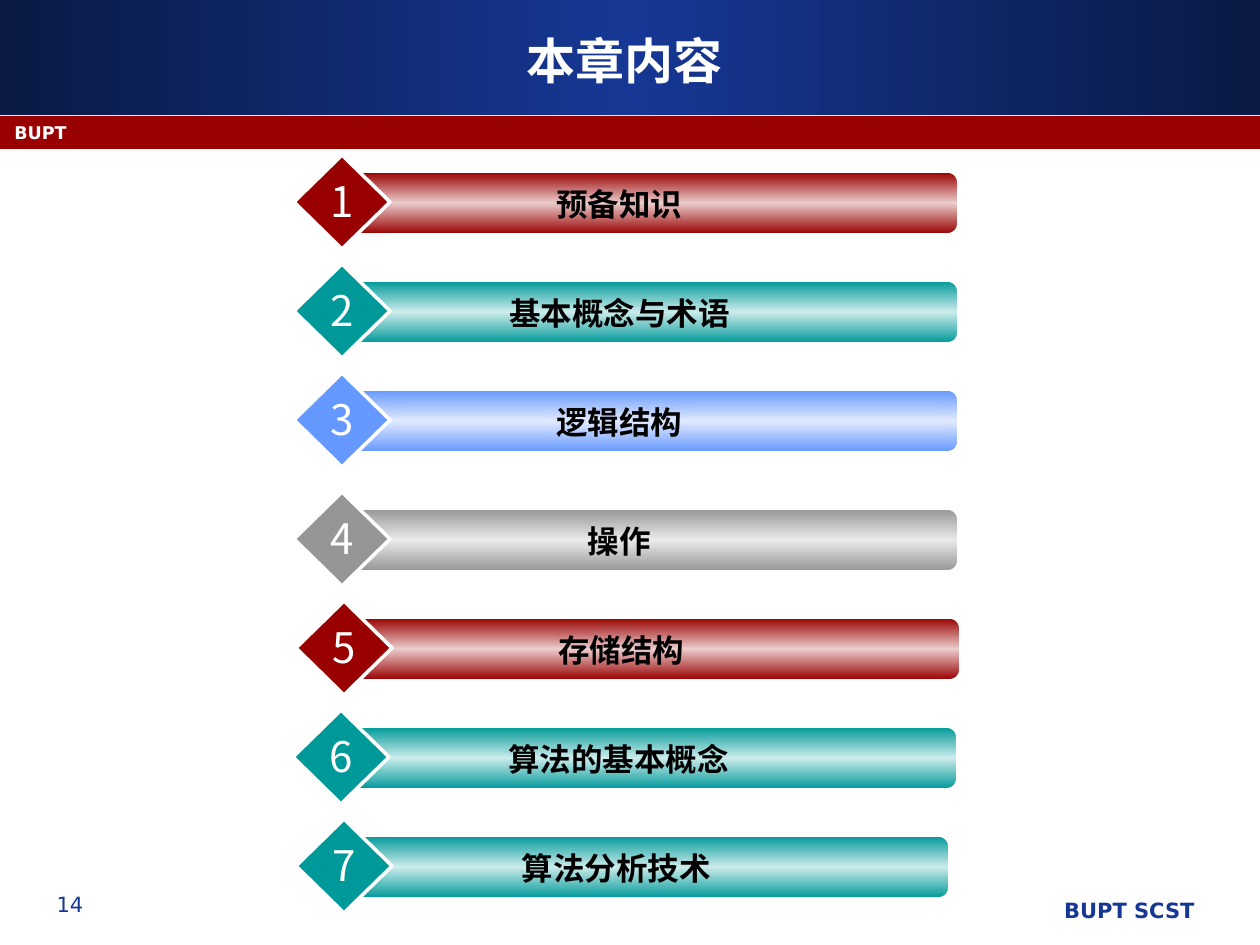
from copy import deepcopy
from dataclasses import dataclass
from lxml.etree import SubElement
from pptx import Presentation
from pptx.dml.color import RGBColor
from pptx.enum.shapes import MSO_SHAPE
from pptx.enum.text import MSO_ANCHOR, PP_ALIGN
from pptx.oxml.ns import qn
from pptx.util import Pt

EMU_PER_PX = 914400 / 126
COLORS = {
    "white": "FFFFFF", "black": "000000", "navy": "163794", "navy_edge": "0A1A44",
    "red": "990000", "red_light": "EBCCCC",
    "teal": "009999", "teal_light": "CCEBEB",
    "blue": "6699FF", "blue_light": "E0E9FF",
    "gray": "969696", "gray_light": "EAEAEA",
}
CJK, LATIN = "Noto Sans CJK SC", "DejaVu Sans"
FORMATS = {
    "title": {"name": CJK, "size": Pt(28), "bold": True},
    "topic": {"name": CJK, "size": Pt(18), "bold": True},
    "number": {"name": CJK, "size": Pt(24), "bold": False},
    "page": {"name": LATIN, "size": Pt(12), "bold": False},
    "footer": {"name": LATIN, "size": Pt(12), "bold": True},
    "school": {"name": LATIN, "size": Pt(10), "bold": True},
}
FIRST_TOP, ROW_STEP, BLOCK_GAP, BAR_LEFT = 172, 109, 10, 348


@dataclass
class Box:
    left: int
    top: int
    width: int
    height: int

    def emu(self) -> list[int]:
        return [px(n) for n in (self.left, self.top, self.width, self.height)]


@dataclass
class Topic:
    title: str
    color: str
    shift: int = 0
    trim: int = 0


def px(length: int) -> int:
    return round(length * EMU_PER_PX)


def rgb(color: str) -> RGBColor:
    return RGBColor.from_string(COLORS[color])


def add_text(shapes, box: Box, text: str, style: str, color: str,
             align=PP_ALIGN.CENTER, anchor=MSO_ANCHOR.TOP, wrap: bool = True) -> None:
    frame = shapes.add_textbox(*box.emu()).text_frame
    for attribute, value in {"word_wrap": wrap, "vertical_anchor": anchor}.items():
        setattr(frame, attribute, value)
    paragraph = frame.paragraphs[0]
    paragraph.alignment = align
    run = paragraph.add_run()
    run.text = text
    for attribute, value in FORMATS[style].items():
        setattr(run.font, attribute, value)
    run.font.color.rgb = rgb(color)
    SubElement(run._r.get_or_add_rPr(), qn("a:ea"), typeface=FORMATS[style]["name"])


def add_block(shapes, preset, box: Box, color: str, middle: str = "",
              angle: int = 0, line_width: int = 0):
    block = shapes.add_shape(preset, *box.emu())
    block.shadow.inherit = False
    if middle:
        block.fill.gradient()
        block.fill.gradient_angle = angle
        stops = block._element.spPr.find(".//" + qn("a:gsLst"))
        stops.insert(1, deepcopy(stops[0]))
        for stop, shade, place in zip(block.fill.gradient_stops,
                                      (color, middle, color), (0, 0.5, 1)):
            stop.color.rgb = rgb(shade)
            stop.position = place
    else:
        block.fill.solid()
        block.fill.fore_color.rgb = rgb(color)
    if line_width:
        block.line.color.rgb = rgb("white")
        block.line.width = Pt(line_width)
    else:
        block.line.fill.background()
    return block


def add_topic(slide, index: int, topic: Topic) -> None:
    left = BAR_LEFT + topic.shift
    top = FIRST_TOP + ROW_STEP * index + (BLOCK_GAP if index >= 3 else 0)
    shapes = slide.shapes.add_group_shape().shapes
    add_block(shapes, MSO_SHAPE.ROUNDED_RECTANGLE, Box(left, top, 610 - topic.trim, 62),
              topic.color, topic.color + "_light", 90, 1)
    add_block(shapes, MSO_SHAPE.DIAMOND, Box(left - 54, top - 17, 96, 94),
              topic.color, line_width=2)
    add_text(shapes, Box(left + 31, top + 7, 481 - topic.trim, 51), topic.title,
             "topic", "black")
    add_text(shapes, Box(left - 30, top - 3, 45, 64), str(index + 1),
             "number", "white", wrap=False)


def main() -> None:
    deck = Presentation()
    deck.slide_width, deck.slide_height = px(1260), px(945)
    slide = deck.slides.add_slide(deck.slide_layouts[6])
    shapes = slide.shapes

    add_block(shapes, MSO_SHAPE.RECTANGLE, Box(0, 0, 1260, 115), "navy_edge", "navy")
    add_block(shapes, MSO_SHAPE.RECTANGLE, Box(0, 116, 1260, 33), "red")
    add_text(shapes, Box(42, 21, 1165, 78), "本章内容", "title", "white",
             anchor=MSO_ANCHOR.MIDDLE)
    add_text(shapes, Box(530, 891, 677, 44), "BUPT SCST", "footer", "navy", PP_ALIGN.RIGHT)
    add_text(shapes, Box(15, 885, 110, 44), "14", "page", "navy")
    add_text(shapes, Box(2, 116, 1165, 32), "BUPT", "school", "white", PP_ALIGN.LEFT)

    topics = [
        Topic("预备知识", "red"),
        Topic("基本概念与术语", "teal"),
        Topic("逻辑结构", "blue"),
        Topic("操作", "gray"),
        Topic("存储结构", "red", shift=2),
        Topic("算法的基本概念", "teal", shift=-1),
        Topic("算法分析技术", "teal", shift=2, trim=11),
    ]
    for index, topic in enumerate(topics):
        add_topic(slide, index, topic)
    deck.save("out.pptx")


if __name__ == "__main__":
    main()
